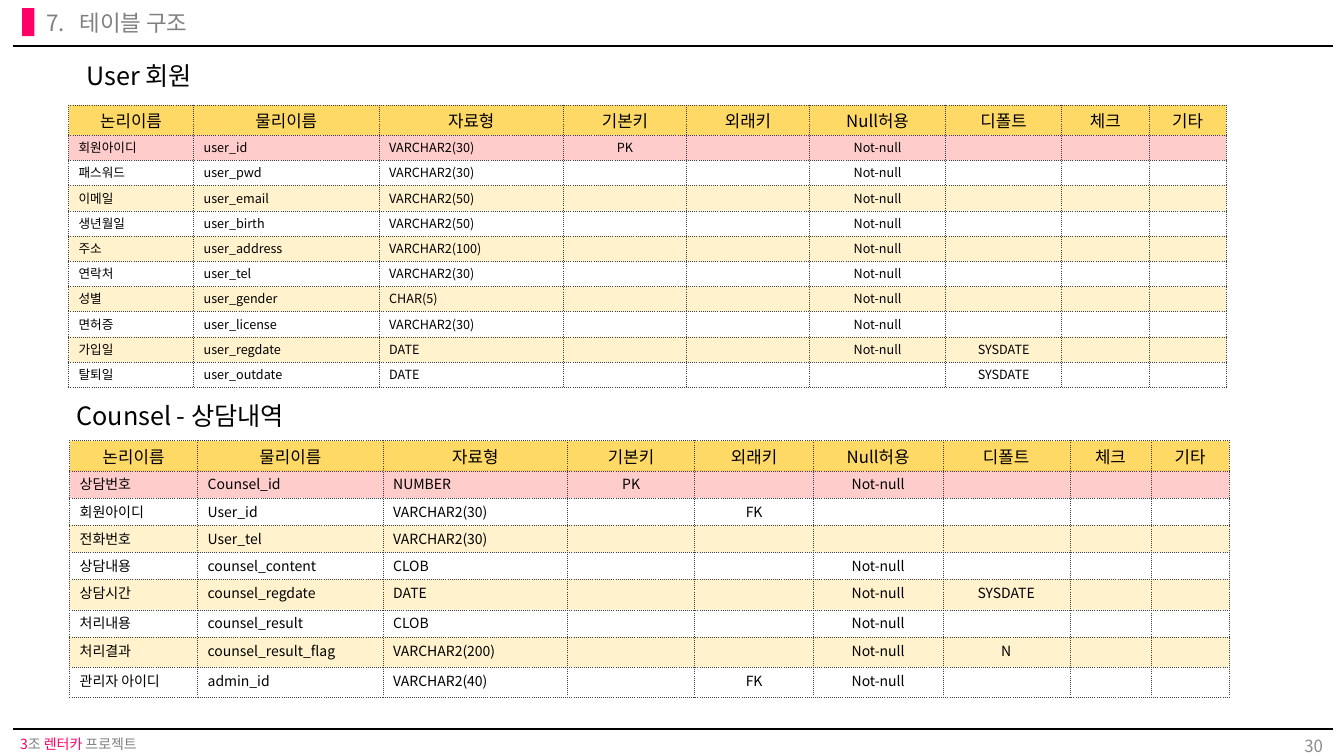
from lxml import etree
from pptx import Presentation
from pptx.dml.color import RGBColor
from pptx.enum.shapes import MSO_CONNECTOR, MSO_SHAPE
from pptx.enum.text import MSO_ANCHOR, MSO_AUTO_SIZE, PP_ALIGN
from pptx.oxml.ns import qn
from pptx.util import Inches, Pt

LEFT, CENTER, RIGHT = PP_ALIGN.LEFT, PP_ALIGN.CENTER, PP_ALIGN.RIGHT
TOP, MIDDLE = MSO_ANCHOR.TOP, MSO_ANCHOR.MIDDLE
NO_FIT = MSO_AUTO_SIZE.NONE
STRAIGHT, RECTANGLE = MSO_CONNECTOR.STRAIGHT, MSO_SHAPE.RECTANGLE

FONT = "Noto Sans CJK KR"
BLACK, GRAY, LIGHT_GRAY, PINK = "000000", "808080", "8C8C8C", "FF0066"
HEADER_FILL, KEY_FILL, BAND_FILL, BORDER = "FFD966", "FF0000", "FFC000", "404040"

HEADERS = ("논리이름", "물리이름", "자료형", "기본키", "외래키", "Null허용", "디폴트", "체크", "기타")
NN = "Not-null"
USER_ROWS = [
    ("회원아이디", "user_id", "VARCHAR2(30)", "PK", "", NN),
    ("패스워드", "user_pwd", "VARCHAR2(30)", "", "", NN),
    ("이메일", "user_email", "VARCHAR2(50)", "", "", NN),
    ("생년월일", "user_birth", "VARCHAR2(50)", "", "", NN),
    ("주소", "user_address", "VARCHAR2(100)", "", "", NN),
    ("연락처", "user_tel", "VARCHAR2(30)", "", "", NN),
    ("성별", "user_gender", "CHAR(5)", "", "", NN),
    ("면허증", "user_license", "VARCHAR2(30)", "", "", NN),
    ("가입일", "user_regdate", "DATE", "", "", NN, "SYSDATE"),
    ("탈퇴일", "user_outdate", "DATE", "", "", "", "SYSDATE"),
]
COUNSEL_ROWS = [
    ("상담번호", "Counsel_id", "NUMBER", "PK", "", NN),
    ("회원아이디", "User_id", "VARCHAR2(30)", "", "FK"),
    ("전화번호", "User_tel", "VARCHAR2(30)"),
    ("상담내용", "counsel_content", "CLOB", "", "", NN),
    ("상담시간", "counsel_regdate", "DATE", "", "", NN, "SYSDATE"),
    ("처리내용", "counsel_result", "CLOB", "", "", NN),
    ("처리결과", "counsel_result_flag", "VARCHAR2(200)", "", "", NN, "N"),
    ("관리자 아이디", "admin_id", "VARCHAR2(40)", "", "FK", NN),
]
USER_WIDTHS = (1.24, 1.84, 1.83, 1.22, 1.22, 1.35, 1.15, 0.87, 0.76)
COUNSEL_WIDTHS = (1.27, 1.84, 1.83, 1.26, 1.18, 1.28, 1.26, 0.81, 0.77)
USER_HEIGHTS = [0.3] + [0.25] * 10
COUNSEL_HEIGHTS = [0.3] + [0.27] * 4 + [0.3, 0.27, 0.3, 0.3]


def rgb(color):
    return RGBColor.from_string(color)


def write(tf, text, size=12, color=BLACK, align=LEFT, spacing=None):
    p = tf.paragraphs[0]
    p.alignment = align
    if spacing:
        p.line_spacing = spacing
    parts = [(text, color)] if isinstance(text, str) else text
    for part, part_color in parts:
        if not part:
            p._p.get_or_add_endParaRPr().set("sz", str(size * 100))
            continue
        r = p.add_run()
        r.text = part
        r.font.size = Pt(size)
        r.font.name = FONT
        r.font.color.rgb = rgb(part_color)
        ea = etree.SubElement(r.font._element, qn("a:ea"))
        ea.set("typeface", FONT)
    return p


def set_borders(cell):
    tcPr = cell._tc.get_or_add_tcPr()
    for side in ("a:lnL", "a:lnR", "a:lnT", "a:lnB"):
        ln = etree.SubElement(tcPr, qn(side), w=str(Pt(0.25)))
        fill = etree.SubElement(ln, qn("a:solidFill"))
        etree.SubElement(fill, qn("a:srgbClr"), val=BORDER)
        etree.SubElement(ln, qn("a:prstDash"), val="sysDot")


def fill_cell(cell, color, alpha=None):
    if color is None:
        cell.fill.background()
        return
    cell.fill.solid()
    cell.fill.fore_color.rgb = rgb(color)
    if alpha:
        clr = cell._tc.tcPr.find(qn("a:solidFill")).find(qn("a:srgbClr"))
        etree.SubElement(clr, qn("a:alpha"), val=str(alpha * 1000))


def row_fill(row):
    if row == 0:
        return HEADER_FILL, None
    if row == 1:
        return KEY_FILL, 20
    return (BAND_FILL, 20) if row % 2 else (None, None)


class SlideBuilder:
    def __init__(self, prs):
        self.s = prs.slides.add_slide(prs.slide_layouts[5])

    def title(self, text, left, top, width, height):
        sp = self.s.shapes.title
        sp.left, sp.top, sp.width, sp.height = map(Inches, (left, top, width, height))
        tf = sp.text_frame
        tf.auto_size = NO_FIT
        tf.word_wrap = True
        tf.vertical_anchor = MIDDLE
        p = write(tf, text, size=16, color=GRAY, spacing=0.9)
        pPr = p._p.get_or_add_pPr()
        pPr.set("marL", str(Inches(0.33)))
        pPr.set("indent", str(Inches(-0.33)))

    def text(self, text, left, top, width, height, anchor=TOP, inset=(0.1, 0.05), **fmt):
        sp = self.s.shapes.add_textbox(*map(Inches, (left, top, width, height)))
        tf = sp.text_frame
        tf.word_wrap = True
        tf.vertical_anchor = anchor
        tf.margin_left = tf.margin_right = Inches(inset[0])
        tf.margin_top = tf.margin_bottom = Inches(inset[1])
        write(tf, text, **fmt)

    def rule(self, y):
        line = self.s.shapes.add_connector(
            STRAIGHT, Inches(0.13), Inches(y), Inches(13.22), Inches(y))
        line.line.color.rgb = rgb(BLACK)
        line.line.width = Pt(1.5)
        etree.SubElement(line._element.spPr, qn("a:effectLst"))

    def marker(self, left, top, width, height):
        sp = self.s.shapes.add_shape(RECTANGLE, *map(Inches, (left, top, width, height)))
        sp.shadow.inherit = False
        sp.fill.solid()
        sp.fill.fore_color.rgb = rgb(PINK)
        sp.line.fill.background()

    def table(self, rows, left, top, widths, heights, size):
        tbl = self.s.shapes.add_table(
            len(heights), len(widths), Inches(left), Inches(top),
            Inches(sum(widths)), Inches(sum(heights))).table
        tbl.first_row = tbl.horz_banding = False
        for col, width in zip(tbl.columns, widths):
            col.width = Inches(width)
        for i, (values, height) in enumerate(zip([HEADERS, *rows], heights)):
            tbl.rows[i].height = Inches(height)
            for j in range(len(widths)):
                cell = tbl.cell(i, j)
                cell.margin_top = cell.margin_bottom = Inches(0.03)
                set_borders(cell)
                fill_cell(cell, *row_fill(i))
                write(cell.text_frame, values[j] if j < len(values) else "",
                      size=size if i else 12,
                      align=CENTER if i == 0 or j > 2 else LEFT)


def main():
    prs = Presentation()
    prs.slide_width, prs.slide_height = Inches(13.33), Inches(7.5)
    b = SlideBuilder(prs)
    for y in (0.46, 7.23):
        b.rule(y)
    b.marker(0.22, 0.08, 0.12, 0.28)
    b.title("7.\t테이블 구조", 0.36, 0.07, 4.39, 0.35)
    footer = [("3", PINK), ("조 ", GRAY), ("렌터카", PINK), (" 프로젝트", GRAY)]
    b.text(footer, 0.13, 7.28, 3.08, 0.23, inset=(0.07, 0.04), size=10, spacing=0.9)
    b.text("30", 12.58, 7.22, 0.64, 0.35, anchor=MIDDLE, color=LIGHT_GRAY, align=RIGHT)
    b.text("User 회원", 0.76, 0.55, 2.94, 0.4, size=18)
    b.table(USER_ROWS, 0.68, 1.04, USER_WIDTHS, USER_HEIGHTS, size=9)
    b.text("Counsel - 상담내역", 0.66, 3.92, 3.9, 0.4, size=18)
    b.table(COUNSEL_ROWS, 0.69, 4.37, COUNSEL_WIDTHS, COUNSEL_HEIGHTS, size=10)
    prs.save("out.pptx")


if __name__ == "__main__":
    main()
